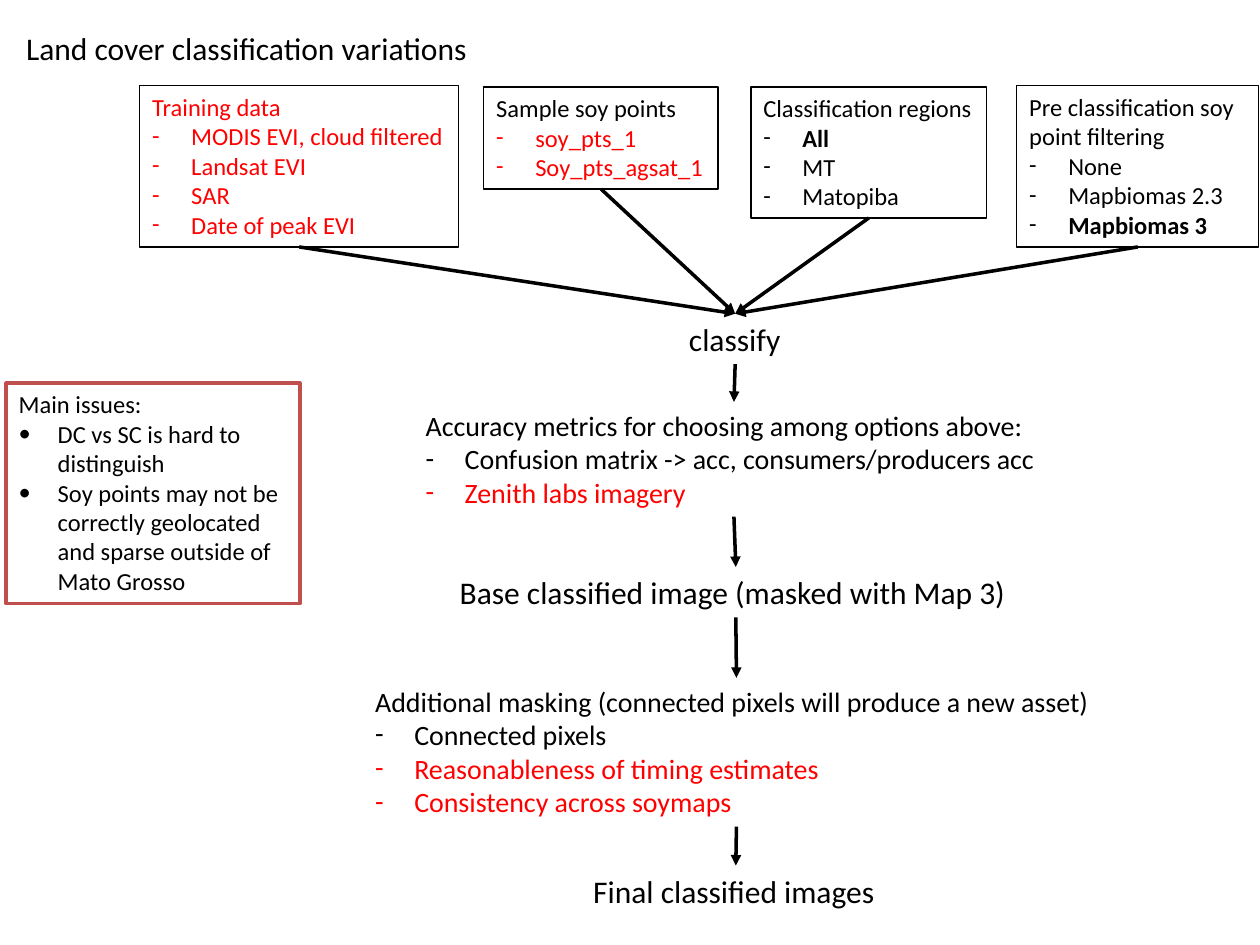
from lxml import etree
from pptx import Presentation
from pptx.dml.color import RGBColor
from pptx.enum.shapes import MSO_CONNECTOR, MSO_SHAPE
from pptx.enum.text import MSO_ANCHOR, MSO_AUTO_SIZE, PP_ALIGN
from pptx.oxml.ns import qn
from pptx.util import Inches, Pt

RECTANGLE = MSO_SHAPE.RECTANGLE
STRAIGHT = MSO_CONNECTOR.STRAIGHT
TOP, LEFT = MSO_ANCHOR.TOP, PP_ALIGN.LEFT
GROW = MSO_AUTO_SIZE.SHAPE_TO_FIT_TEXT
TOP_SITE, BOTTOM_SITE = 0, 2

THEME = {
    "font": "Calibri",
    "black": RGBColor(0, 0, 0),
    "red": RGBColor(255, 0, 0),
    "white": RGBColor(255, 255, 255),
    "frame": RGBColor(0xC0, 0x50, 0x4D),
    "heading": 18, "body": 16, "small": 14,
    "thin": 0.75, "thick": 2,
    "indent": 0.31,
}

# Lines are (text, style words); the first line of each box has no bullet
TITLE = {"at": (0.11, 0.18, 3.74, 0.4), "size": "heading",
         "lines": [("Land cover classification variations", "")]}

INPUTS = [
    {"at": (1.11, 0.68, 2.53, 1.28),
     "lines": [("Training data", "red"), ("MODIS EVI, cloud filtered", "red"),
               ("Landsat EVI", "red"), ("SAR", "red"), ("Date of peak EVI", "red")]},
    {"at": (3.84, 0.69, 1.86, 0.81),
     "lines": [("Sample soy points", ""), ("soy_pts_1", "red"), ("Soy_pts_agsat_1", "red")]},
    {"at": (5.96, 0.69, 1.87, 1.04),
     "lines": [("Classification regions", ""), ("All", "bold"), ("MT", ""), ("Matopiba", "")]},
    {"at": (8.07, 0.68, 1.92, 1.28), "wrap": True,
     "lines": [("Pre classification soy point filtering", ""), ("None", ""),
               ("Mapbiomas 2.3", ""), ("Mapbiomas 3", "bold")]},
]

STAGES = [
    {"at": (5.37, 2.49, 0.93, 0.4), "size": "heading", "lines": [("classify", "")]},
    {"at": (3.28, 3.19, 5.09, 0.91), "size": "body",
     "lines": [("Accuracy metrics for choosing among options above:", ""),
               ("Confusion matrix -> acc, consumers/producers acc", ""),
               ("Zenith labs imagery", "red")]},
    {"at": (3.55, 4.5, 4.58, 0.4), "size": "heading",
     "lines": [("Base classified image (masked with Map 3)", "")]},
    {"at": (2.88, 5.38, 5.93, 1.18), "size": "body",
     "lines": [("Additional masking (connected pixels will produce a new asset)", ""),
               ("Connected pixels", ""), ("Reasonableness of timing estimates", "red"),
               ("Consistency across soymaps", "red")]},
    {"at": (4.61, 6.87, 2.46, 0.4), "size": "heading", "lines": [("Final classified images", "")]},
]

ISSUES = {"at": (0.05, 3.04, 2.33, 1.75), "wrap": True, "bullet": "•",
          "lines": [("Main issues:", ""), ("DC vs SC is hard to distinguish", ""),
                    ("Soy points may not be correctly geolocated and sparse outside of Mato Grosso", "")]}


def apply(target, formats):
    for name, value in formats.items():
        setattr(target, name, value)


def add_bullet(para, mark, color):
    indent = Inches(THEME["indent"])
    properties = para._p.get_or_add_pPr()
    properties.set("marL", str(indent))
    properties.set("indent", str(-indent))
    bullet_color = etree.SubElement(properties, qn("a:buClr"))
    etree.SubElement(bullet_color, qn("a:srgbClr"), val=str(color))
    etree.SubElement(properties, qn("a:buFont"), typeface=THEME["font"])
    etree.SubElement(properties, qn("a:buChar"), char=mark)


def fill_text(box, item):
    frame = box.text_frame
    apply(frame, {"word_wrap": item.get("wrap", False), "auto_size": GROW,
                  "vertical_anchor": TOP})
    for index, (text, style) in enumerate(item["lines"]):
        para = frame.paragraphs[0] if index == 0 else frame.add_paragraph()
        para.alignment = LEFT
        color = THEME["red" if style == "red" else "black"]
        if index:
            add_bullet(para, item.get("bullet", "-"), color)
        span = para.add_run()
        span.text = text
        apply(span.font, {"name": THEME["font"], "size": Pt(THEME[item.get("size", "small")]),
                          "bold": style == "bold"})
        span.font.color.rgb = color


def add_label(page, item):
    box = page.shapes.add_textbox(*map(Inches, item["at"]))
    fill_text(box, item)
    return box


def add_frame(page, item, line="black", width="thin", fill=None):
    box = page.shapes.add_shape(RECTANGLE, *map(Inches, item["at"]))
    box.shadow.inherit = False
    if fill:
        box.fill.solid()
        box.fill.fore_color.rgb = THEME[fill]
    else:
        box.fill.background()
    box.line.color.rgb = THEME[line]
    box.line.width = Pt(THEME[width])
    fill_text(box, item)
    return box


def add_arrow(page, source, target):
    arrow = page.shapes.add_connector(STRAIGHT, 0, 0, 0, 0)
    arrow.begin_connect(source, BOTTOM_SITE)
    arrow.end_connect(target, TOP_SITE)
    arrow.line.color.rgb = THEME["black"]
    arrow.line.width = Pt(THEME["thick"])
    etree.SubElement(arrow.line._get_or_add_ln(), qn("a:tailEnd"), type="triangle")
    etree.SubElement(arrow._element.spPr, qn("a:effectLst"))


def main():
    deck = Presentation()
    deck.slide_width, deck.slide_height = Inches(10), Inches(7.5)
    page = deck.slides.add_slide(deck.slide_layouts[6])

    # Title, input options and processing stages
    add_label(page, TITLE)
    inputs = [add_frame(page, item) for item in INPUTS]
    stages = [add_label(page, item) for item in STAGES]

    # Every input leads to the first stage, each stage to the next
    for box in inputs:
        add_arrow(page, box, stages[0])
    for source, target in zip(stages, stages[1:]):
        add_arrow(page, source, target)

    # Side note
    add_frame(page, ISSUES, line="frame", width="thick", fill="white")
    deck.save("out.pptx")


if __name__ == "__main__":
    main()
